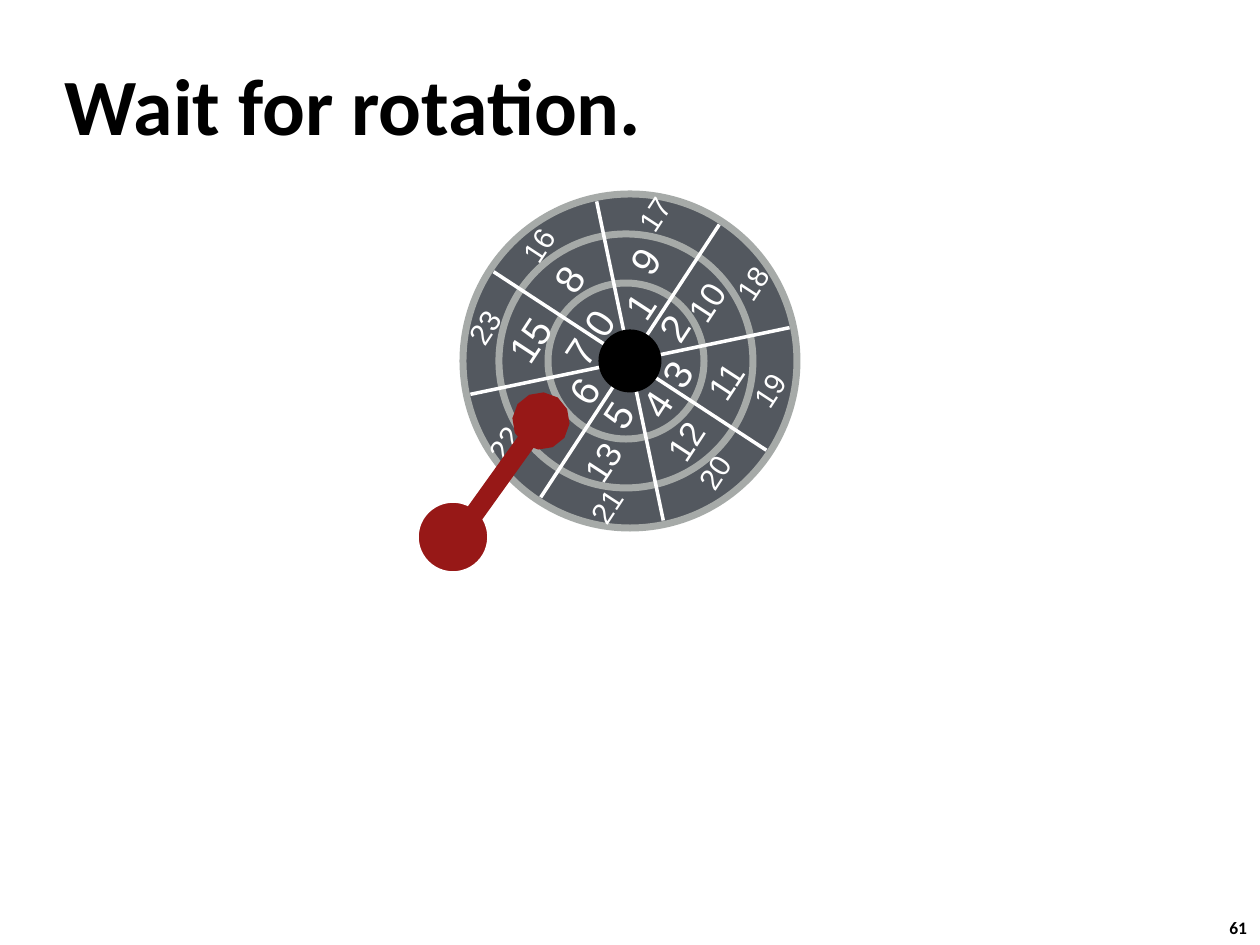
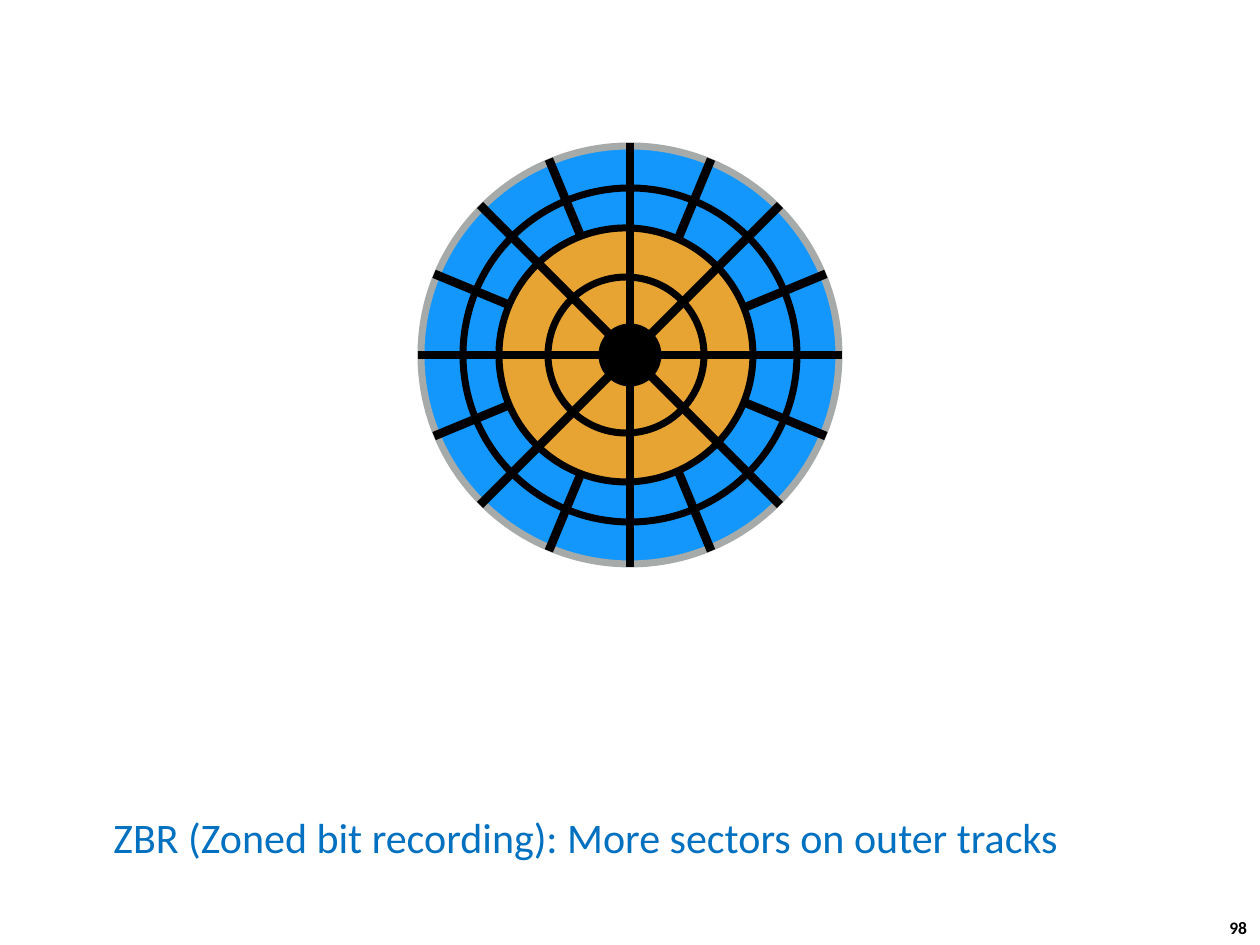
import math
from collections import namedtuple

import pptx
import pptx.dml.color
import pptx.enum.shapes
import pptx.enum.text
import pptx.oxml.ns
import pptx.util
from lxml import etree

PX = 914400 / 126
Box = namedtuple("Box", "left top width height")

BLACK, WHITE, GREY = "000000", "FFFFFF", "A6AAA8"
SLATE, RED, BLUE = "53585F", "971817", "1497FC"
ORANGE, CAPTION_BLUE = "E8A433", "0070C0"

PAGE = Box(0, 0, 1260, 945)
RING_WIDTH = 4
HUB_SIZE = 63
TRACK_SIZES = (254, 156)   # the inner tracks, shared by both disks
TRACK_SHIFT = -4

# Sector labels: offsets of sectors 0, 1, 2 ... from the disk centre
SECTOR_OFFSETS = [
    (-32, -38), (9, -55), (43, -33), (46, 13), (26, 43), (-13, 54), (-47, 30), (-51, -9),
    (-62, -82), (14, -100), (76, -59), (95, 20), (55, 80), (-28, 101), (-90, 62), (-101, -21),
    (-92, -116), (24, -147), (122, -78), (139, 29), (84, 111), (-24, 145), (-126, 82), (-146, -34),
]
SECTOR_TURN = 303.2


def emu(length):
    return pptx.util.Emu(round(length * PX))


def colour(value):
    return pptx.dml.color.RGBColor.from_string(value)


def centre(box):
    return box.left + box.width // 2, box.top + box.height // 2


def add_text(page, text, box, size, font="Calibri", ink=BLACK, bold=False, wrap=False,
             inset=None, turn=0, anchor="TOP", align="LEFT"):
    shape = page.shapes.add_textbox(*map(emu, box))
    shape.rotation = turn
    frame = shape.text_frame
    frame.word_wrap = wrap
    frame.vertical_anchor = pptx.enum.text.MSO_ANCHOR[anchor]
    if inset is not None:
        frame.margin_left = frame.margin_right = emu(inset)
        frame.margin_top = frame.margin_bottom = emu(inset)
    para = frame.paragraphs[0]
    para.alignment = pptx.enum.text.PP_ALIGN[align]
    span = para.add_run()
    span.text = text
    span.font.name = font
    span.font.size = pptx.util.Pt(size)
    span.font.bold = bold
    span.font.color.rgb = colour(ink)


def add_circle(page, x, y, size, fill, edge=None, width=RING_WIDTH):
    shape = page.shapes.add_shape(pptx.enum.shapes.MSO_SHAPE.OVAL,
                                  *map(emu, (x - size / 2, y - size / 2, size, size)))
    shape.shadow.inherit = False
    shape.fill.solid()
    shape.fill.fore_color.rgb = colour(fill)
    if edge is None:
        shape.line.fill.background()
    else:
        shape.line.color.rgb = colour(edge)
        shape.line.width = pptx.util.Pt(width)


def add_line(page, start, end, ink, width, tail=None):
    line = page.shapes.add_connector(pptx.enum.shapes.MSO_CONNECTOR.STRAIGHT,
                                     *map(emu, (*start, *end)))
    line.line.color.rgb = colour(ink)
    line.line.width = pptx.util.Pt(width)
    if tail:
        etree.SubElement(line.line._get_or_add_ln(),
                         pptx.oxml.ns.qn("a:tailEnd"), type=tail)
    etree.SubElement(line._element.spPr, pptx.oxml.ns.qn("a:effectLst"))


def add_spokes(page, x, y, radius, first_angle, ink, width):
    """Four diameters, 45 degrees apart."""
    for step in range(4):
        angle = math.radians(first_angle + 45 * step)
        dx, dy = radius * math.cos(angle), radius * math.sin(angle)
        add_line(page, (x - dx, y + dy), (x + dx, y - dy), ink, width)


def add_inner_tracks(page, x, y, fill, edge):
    for size in TRACK_SIZES:
        add_circle(page, x + TRACK_SHIFT, y, size, fill, edge)


def add_sector_labels(page, x, y):
    for number, (dx, dy) in enumerate(SECTOR_OFFSETS):
        if number < 10:
            size, width, height = 22.5, 31, 58
        elif number >= 16:
            size, width, height = 16.9, 43, 45
        elif number >= 14:
            size, width, height = 22.5, 54, 58
        else:
            size, width, height = 19.7, 49, 52
        box = Box(x + dx - width / 2, y + dy - height / 2, width, height)
        add_text(page, str(number), box, size, font="Arial", ink=WHITE, inset=5,
                 turn=SECTOR_TURN, anchor="MIDDLE", align="CENTER")


def add_numbered_disk(page, box):
    x, y = centre(box)
    add_circle(page, x, y, box.width, SLATE, GREY)
    add_inner_tracks(page, x, y, SLATE, GREY)
    add_spokes(page, x, y, 163, 360 - SECTOR_TURN, WHITE, 2)
    add_circle(page, x, y, HUB_SIZE, BLACK)
    add_sector_labels(page, x, y)


def add_arm(page, box):
    """Pivot at the lower left of the box, head at the upper right."""
    bottom = box.top + box.height
    add_circle(page, box.left + 36, bottom - 36, 72, RED, WHITE, 2)
    add_line(page, (box.left + 38, bottom - 32),
             (box.left + box.width, box.top), RED, 11, tail="oval")


def add_zoned_disk(page, box):
    x, y = centre(box)
    radius = 212
    # Outer zone, with twice as many sectors
    add_circle(page, x, y, box.width, BLUE, GREY)
    add_circle(page, x, y, 334, BLUE, BLACK)
    add_spokes(page, x, y, radius, 22.5, BLACK, 5)
    # Inner zone covers the extra spokes
    add_inner_tracks(page, x, y, ORANGE, BLACK)
    add_circle(page, x, y, HUB_SIZE, BLACK)
    add_spokes(page, x, y, radius, 0, BLACK, 5)


def add_page(deck, number):
    page = deck.slides.add_slide(deck.slide_layouts[6])
    box = Box(PAGE.width - 43, PAGE.height - 34, 47, 34)
    add_text(page, str(number), box, 10, bold=True)
    return page


def build_rotation_page(deck):
    page = add_page(deck, 61)
    add_text(page, "Wait for rotation.", Box(52, 52, 1046, 104), 45.6,
             bold=True, wrap=True, anchor="MIDDLE")
    add_numbered_disk(page, Box(463, 194, 334, 334))
    add_arm(page, Box(417, 421, 124, 152))


def build_zones_page(deck):
    page = add_page(deck, 98)
    add_zoned_disk(page, Box(421, 146, 418, 418))
    add_text(page, "ZBR (Zoned bit recording): More sectors on outer tracks",
             Box(101, 805, 978, 63), 24, ink=CAPTION_BLUE)


def main():
    deck = pptx.Presentation()
    deck.slide_width, deck.slide_height = emu(PAGE.width), emu(PAGE.height)
    build_rotation_page(deck)
    build_zones_page(deck)
    deck.save("out.pptx")


if __name__ == "__main__":
    main()
